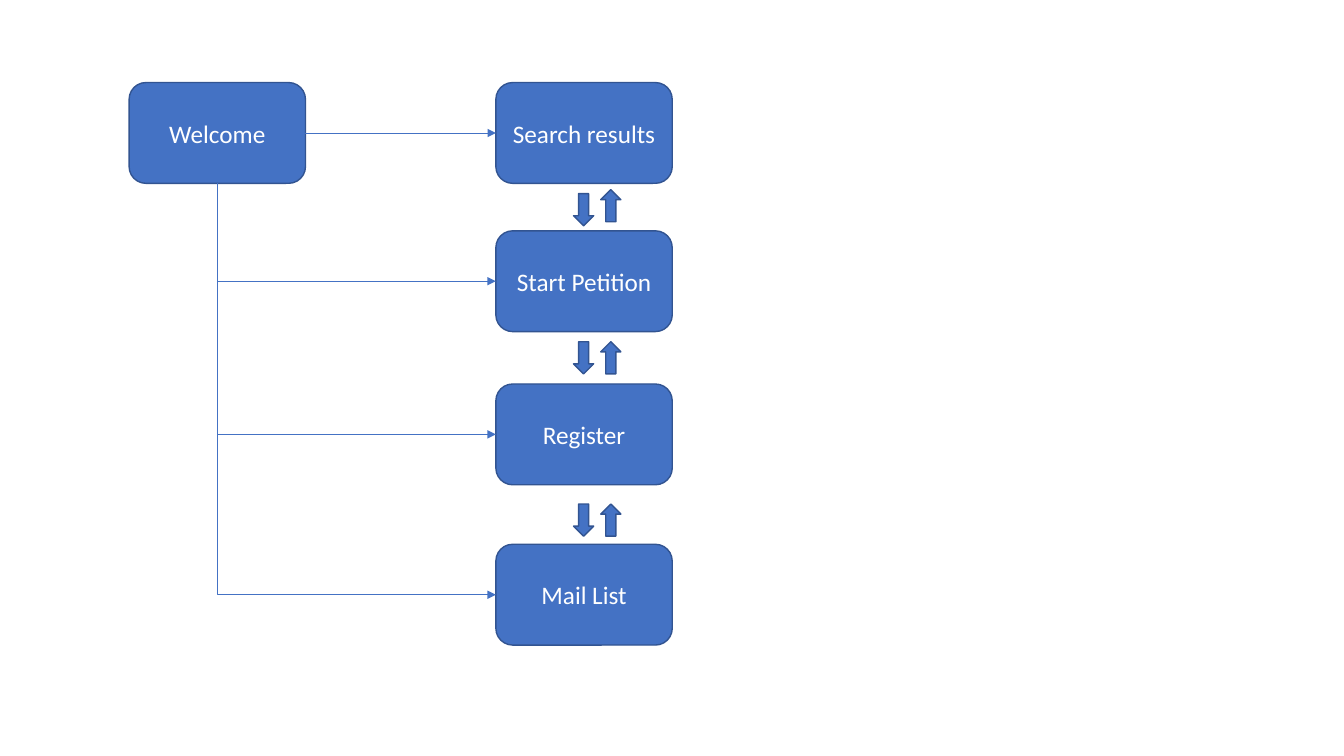
from lxml.etree import SubElement
from pptx import Presentation
from pptx.dml.color import RGBColor
from pptx.enum.shapes import MSO_CONNECTOR, MSO_SHAPE
from pptx.enum.text import MSO_ANCHOR, PP_ALIGN
from pptx.oxml.ns import qn
from pptx.util import Pt

BLUE = RGBColor(0x44, 0x72, 0xC4)
DARK_BLUE = RGBColor(0x32, 0x54, 0x91)
WHITE = RGBColor(0xFF, 0xFF, 0xFF)

BOX_WIDTH, BOX_HEIGHT = 126, 72
WELCOME_LEFT, SCREEN_LEFT = 92.2, 354.2
SCREENS = [("Search results", 59), ("Start Petition", 164.9),
           ("Register", 274.3), ("Mail List", 388.8)]

ARROW_WIDTH, ARROW_HEIGHT = 14.4, 23
DOWN_LEFT, UP_LEFT = 409.7, 429.1
ARROW_TOPS = [(138.3, 135.4), (244.1, 244.1), (360, 360)]  # down, up


def add_filled_shape(page, kind, left, top, width, height):
    shape = page.shapes.add_shape(kind, Pt(left), Pt(top), Pt(width), Pt(height))
    shape.shadow.inherit = False
    shape.fill.solid()
    shape.fill.fore_color.rgb = BLUE
    shape.line.color.rgb = DARK_BLUE
    shape.line.width = Pt(1)
    return shape


def add_screen_box(page, text, left, top):
    box = add_filled_shape(page, MSO_SHAPE.ROUNDED_RECTANGLE,
                           left, top, BOX_WIDTH, BOX_HEIGHT)
    box.text_frame.vertical_anchor = MSO_ANCHOR.MIDDLE
    para = box.text_frame.paragraphs[0]
    para.text = text
    para.alignment = PP_ALIGN.CENTER
    para.font.name = "Calibri"
    para.font.size = Pt(18)
    para.font.color.rgb = WHITE
    return box


def add_link(page, kind, start_x, start_y, target):
    """Link a point to the left side of the target box."""
    link = page.shapes.add_connector(kind, start_x, start_y, target.left,
                                     target.top + target.height // 2)
    link.end_connect(target, 1)
    link.line.color.rgb = BLUE
    link.line.width = Pt(0.5)
    SubElement(link.line._get_or_add_ln(), qn("a:tailEnd"), type="triangle")
    properties = link._element.spPr
    SubElement(properties, qn("a:effectLst"))
    if kind == MSO_CONNECTOR.ELBOW:
        # Bend right at the start: straight down, then across
        guides = properties.find(qn("a:prstGeom")).get_or_add_avLst()
        SubElement(guides, qn("a:gd"), name="adj1", fmla="val 0")
    return link


def main():
    deck = Presentation()
    deck.slide_width, deck.slide_height = Pt(960), Pt(540)
    page = deck.slides.add_slide(deck.slide_layouts[6])

    # Screens
    welcome = add_screen_box(page, "Welcome", WELCOME_LEFT, SCREENS[0][1])
    screens = [add_screen_box(page, text, SCREEN_LEFT, top)
               for text, top in SCREENS]

    # Links from the welcome screen
    straight = add_link(page, MSO_CONNECTOR.STRAIGHT, welcome.left + welcome.width,
                        welcome.top + welcome.height // 2, screens[0])
    straight.begin_connect(welcome, 3)
    trunk_x = welcome.left + welcome.width // 2
    start_y = welcome.top + welcome.height
    for screen in screens[1:]:
        add_link(page, MSO_CONNECTOR.ELBOW, trunk_x, start_y, screen)
        start_y = screen.top + screen.height // 2

    # Arrow pairs between neighbouring screens
    for down_top, up_top in ARROW_TOPS:
        for kind, left, top in ((MSO_SHAPE.DOWN_ARROW, DOWN_LEFT, down_top),
                                (MSO_SHAPE.UP_ARROW, UP_LEFT, up_top)):
            add_filled_shape(page, kind, left, top, ARROW_WIDTH, ARROW_HEIGHT)

    deck.save("out.pptx")


main()
